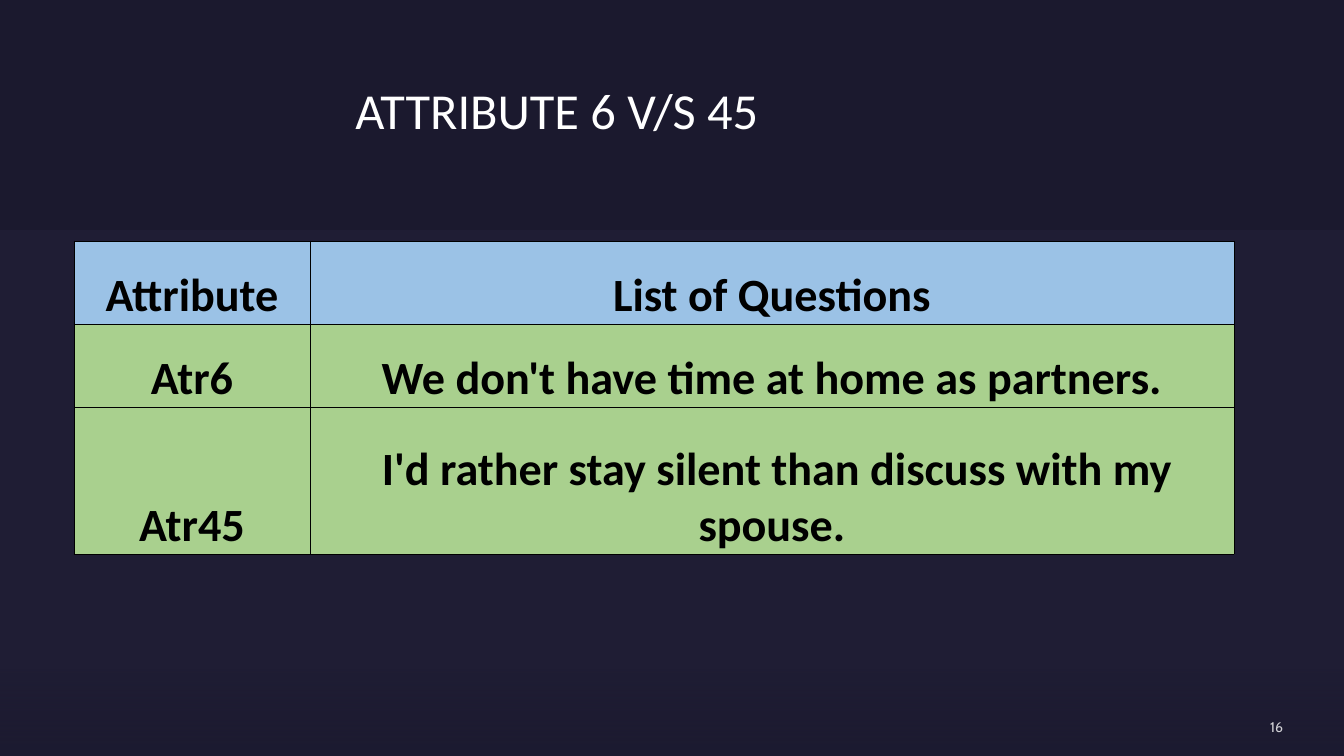
from lxml import etree
from pptx import Presentation
from pptx.dml.color import RGBColor
from pptx.enum.shapes import MSO_SHAPE
from pptx.enum.text import MSO_ANCHOR, MSO_AUTO_SIZE, PP_ALIGN
from pptx.oxml import parse_xml
from pptx.oxml.ns import nsdecls, qn
from pptx.util import Emu, Pt

RECTANGLE = MSO_SHAPE.RECTANGLE
MIDDLE, BOTTOM = MSO_ANCHOR.MIDDLE, MSO_ANCHOR.BOTTOM
CENTER, RIGHT = PP_ALIGN.CENTER, PP_ALIGN.RIGHT
NO_AUTOFIT = MSO_AUTO_SIZE.NONE

NAVY = RGBColor(0x1B, 0x19, 0x2E)
VIOLET = RGBColor(0x77, 0x71, 0xB2)
WHITE = RGBColor(0xFF, 0xFF, 0xFF)
BLACK = RGBColor(0x00, 0x00, 0x00)
BLUE = RGBColor(0x9B, 0xC2, 0xE6)
GREEN = RGBColor(0xA9, 0xD0, 0x8E)

SLIDE_WIDTH, SLIDE_HEIGHT = 1344, 756
EMU_PER_PX = 914400 / 100.8
TITLE_ONLY_LAYOUT = 5
QUESTIONS = [
    ("Attribute", "List of Questions"),
    ("Atr6", "We don't have time at home as partners."),
    ("Atr45", " I'd rather stay silent than discuss with my spouse."),
]
COLUMN_WIDTHS = (236, 924)
ROW_HEIGHTS = (83, 83, 147)


def px(length):
    return Emu(round(length * EMU_PER_PX))


def set_opacity(color_parent, percent):
    color = next(color_parent.iter(qn("a:srgbClr")))
    etree.SubElement(color, qn("a:alpha"), val=str(percent * 1000))


def style_text(paragraph, font_name, size, color, alignment, bold=False):
    paragraph.alignment = alignment
    font = paragraph.font
    font.name, font.size, font.bold = font_name, Pt(size), bold
    font.color.rgb = color


def prepare_frame(frame):
    frame.word_wrap = True
    frame.auto_size = NO_AUTOFIT
    frame.vertical_anchor = MIDDLE
    frame.margin_left = frame.margin_right = frame.margin_top = frame.margin_bottom = 0


def add_panel(slide, box, color):
    panel = slide.shapes.add_shape(RECTANGLE, *map(px, box))
    panel.shadow.inherit = False
    panel.line.fill.background()
    panel.fill.solid()
    panel.fill.fore_color.rgb = color
    return panel


def add_backdrop(slide, box):
    left, top, width, height = box
    base = add_panel(slide, box, NAVY)
    slide.shapes.title._element.addprevious(base._element)

    tint = add_panel(slide, (left, top + 230, width, height - 230), VIOLET)
    set_opacity(tint._element.spPr, 5)

    fade = add_panel(slide, (left, top + 636, width, height - 636), NAVY)
    stops = "".join(
        f'<a:gs pos="{position * 1000}"><a:srgbClr val="{NAVY}">'
        f'<a:alpha val="{opacity * 1000}"/></a:srgbClr></a:gs>'
        for position, opacity in ((28, 0), (90, 60))
    )
    gradient = parse_xml(
        f'<a:gradFill {nsdecls("a")} rotWithShape="1"><a:gsLst>{stops}</a:gsLst>'
        '<a:lin ang="5400000" scaled="0"/></a:gradFill>'
    )
    properties = fade._element.spPr
    properties.replace(properties.find(qn("a:solidFill")), gradient)


def fill_title(slide, box):
    title = slide.shapes.title
    title.left, title.top, title.width, title.height = map(px, box)
    prepare_frame(title.text_frame)
    title.text_frame.text = "ATTRIBUTE 6 V/S 45"
    style_text(title.text_frame.paragraphs[0], "Calibri", 36, WHITE, CENTER)


def add_page_number(slide, box):
    frame = slide.shapes.add_textbox(*map(px, box)).text_frame
    prepare_frame(frame)
    frame.text = "16"
    paragraph = frame.paragraphs[0]
    paragraph.space_after = Pt(6)
    style_text(paragraph, "Cabin", 10, WHITE, RIGHT)
    set_opacity(paragraph._p, 80)


def add_borders(cell):
    properties = cell._tc.get_or_add_tcPr()
    for side in ("lnL", "lnR", "lnT", "lnB"):
        properties.append(parse_xml(
            f'<a:{side} {nsdecls("a")} w="{Pt(0.5)}"><a:solidFill>'
            f'<a:srgbClr val="{BLACK}"/></a:solidFill></a:{side}>'
        ))


def add_question_table(slide, left, top):
    box = (left, top, sum(COLUMN_WIDTHS), sum(ROW_HEIGHTS))
    table = slide.shapes.add_table(
        len(ROW_HEIGHTS), len(COLUMN_WIDTHS), *map(px, box)
    ).table
    for column, width in zip(table.columns, COLUMN_WIDTHS):
        column.width = px(width)
    for row_index, (row, height) in enumerate(zip(table.rows, ROW_HEIGHTS)):
        row.height = px(height)
        for cell, text in zip(row.cells, QUESTIONS[row_index]):
            cell.text = text
            cell.vertical_anchor = BOTTOM
            cell.margin_left = cell.margin_right = cell.margin_top = px(3)
            cell.margin_bottom = 0
            style_text(cell.text_frame.paragraphs[0], "Calibri", 33, BLACK, CENTER, True)
            add_borders(cell)
            cell.fill.solid()
            cell.fill.fore_color.rgb = GREEN if row_index else BLUE


def main():
    presentation = Presentation()
    presentation.slide_width = px(SLIDE_WIDTH)
    presentation.slide_height = px(SLIDE_HEIGHT)
    slide = presentation.slides.add_slide(presentation.slide_layouts[TITLE_ONLY_LAYOUT])
    slide.background.fill.solid()
    slide.background.fill.fore_color.rgb = NAVY
    add_backdrop(slide, (0, 0, SLIDE_WIDTH, SLIDE_HEIGHT))
    fill_title(slide, (206, 55, 702, 109))
    add_page_number(slide, (1097, 718, 186, 17))
    add_question_table(slide, 74, 241)
    presentation.save("out.pptx")


if __name__ == "__main__":
    main()
